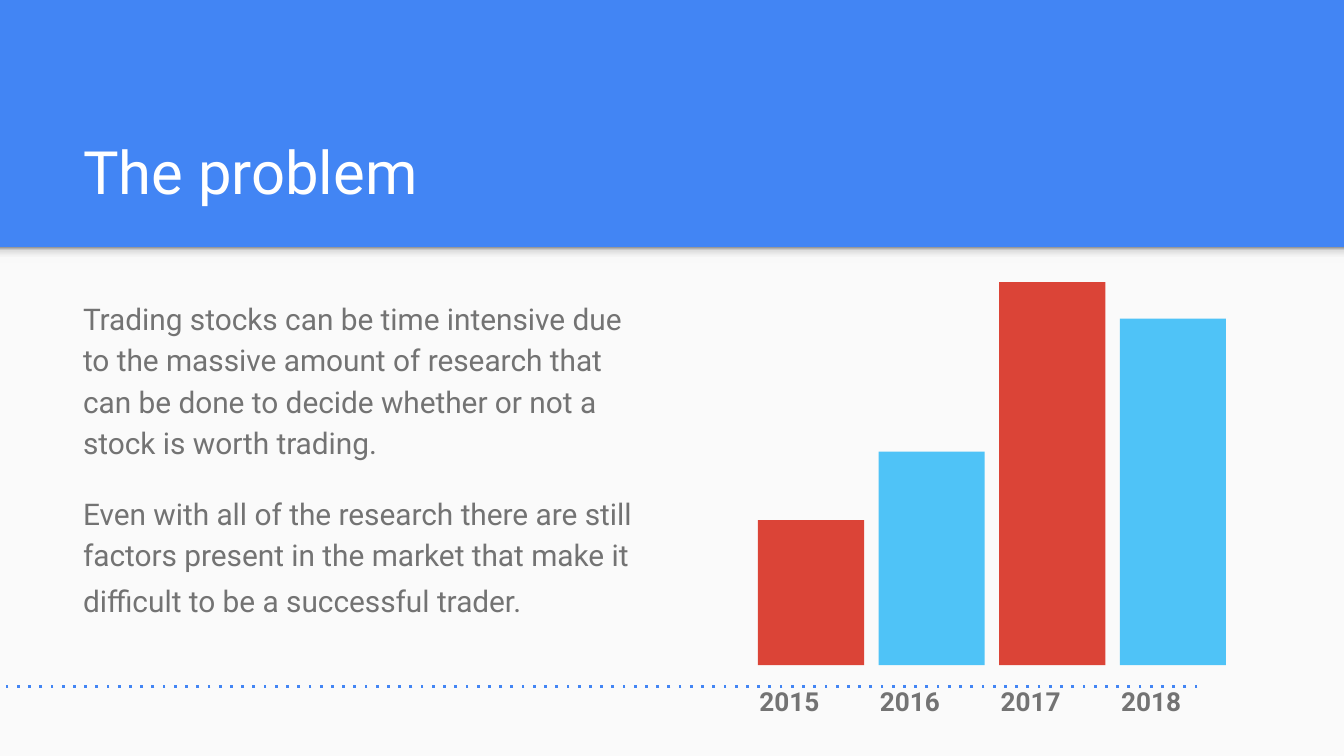
from dataclasses import dataclass
from itertools import cycle

from lxml import etree
from pptx import Presentation
from pptx.dml.color import RGBColor
from pptx.enum.dml import MSO_LINE
from pptx.enum.shapes import MSO_CONNECTOR, MSO_SHAPE
from pptx.enum.text import MSO_ANCHOR
from pptx.oxml.ns import qn
from pptx.util import Inches, Pt

RECT = MSO_SHAPE.RECTANGLE
STRAIGHT = MSO_CONNECTOR.STRAIGHT
DOTS = MSO_LINE.ROUND_DOT
TOP, BOTTOM = MSO_ANCHOR.TOP, MSO_ANCHOR.BOTTOM
PLAIN = "{2D5ABB26-0587-4C30-8999-92F81FD0307C}"  # table style without lines or fills
WIDE = 10
HIGH = WIDE * 9 / 16


@dataclass(frozen=True)
class Theme:
    font: str = "Roboto"
    blue: str = "4285F4"
    paper: str = "FAFAFA"
    white: str = "FFFFFF"
    gray: str = "737373"
    bars: tuple = ("DB4437", "4FC3F7")
    shade: tuple = ((0, "F9F9F9"), (36, "F9F9F9"), (80, "DEDEDE"), (100, "999999"))
    title: int = 32
    body: int = 16
    tail: int = 18
    label: int = 14
    lead: float = 1.15


THEME = Theme()

BODY = (
    (("Trading stocks can be time intensive due to the massive amount of research "
      "that can be done to decide whether or not a stock is worth trading.", THEME.body),),
    (("Even with all of the research there are still factors present in the market "
      "that make it difficult to be a successful trader.", THEME.body),
     (" ", THEME.tail)),
)
BARS = (("2015", 1.08), ("2016", 1.59), ("2017", 2.85), ("2018", 2.58))


def color(code):
    return RGBColor.from_string(code)


def emu(box):
    return [Inches(size) for size in box]


def add_run(para, text, size, code, bold=False):
    run = para.add_run()
    run.text = text
    font = run.font
    font.name, font.size, font.bold = THEME.font, Pt(size), bold
    font.color.rgb = color(code)


def add_rect(slide, box, code):
    rect = slide.shapes.add_shape(RECT, *emu(box))
    rect.shadow.inherit = False
    rect.line.fill.background()
    rect.fill.solid()
    rect.fill.fore_color.rgb = color(code)
    return rect


def add_frame(slide, box, anchor):
    frame = slide.shapes.add_textbox(*emu(box)).text_frame
    frame.word_wrap = True
    frame.vertical_anchor = anchor
    frame.margin_left = frame.margin_right = Inches(0.1)
    frame.margin_top = frame.margin_bottom = Inches(0.1)
    return frame


def add_panel(slide, box):
    """Light panel with a soft shade along its top edge."""
    left, top, width, height = box
    add_rect(slide, box, THEME.paper)
    edge = add_rect(slide, (left, top, width, 0.12), THEME.paper)
    edge.fill.gradient()
    edge.fill.gradient_angle = 90
    stops = next(edge.element.spPr.iter(qn("a:gsLst")))
    for stop in list(stops):
        stops.remove(stop)
    for share, code in THEME.shade:
        stop = etree.SubElement(stops, qn("a:gs"), pos=str(share * 1000))
        etree.SubElement(stop, qn("a:srgbClr"), val=code)


def add_title(slide, box, text):
    frame = add_frame(slide, box, BOTTOM)
    add_run(frame.paragraphs[0], text, THEME.title, THEME.white)


def add_body(slide, box, paras):
    frame = add_frame(slide, box, TOP)
    for num, runs in enumerate(paras):
        para = frame.add_paragraph() if num else frame.paragraphs[0]
        para.line_spacing = THEME.lead
        if num:
            para.space_before = Pt(THEME.body)
        for text, size in runs:
            add_run(para, text, size, THEME.gray)


def add_bars(slide, box, bars):
    """Bars scaled to the tallest, one per column, on the foot of the box."""
    left, top, width, height = box
    col = width / len(bars)
    peak = max(value for _, value in bars)
    for num, ((_, value), code) in enumerate(zip(bars, cycle(THEME.bars))):
        tall = height * value / peak
        add_rect(slide, (left + (num + 0.1) * col, top + height - tall,
                         0.88 * col, tall), code)


def add_years(slide, box, bars):
    shape = slide.shapes.add_table(1, len(bars), *emu(box))
    table = shape.table
    table.first_row = table.horz_banding = False
    next(shape.element.iter(qn("a:tableStyleId"))).text = PLAIN
    for cell, (year, _) in zip(table.rows[0].cells, bars):
        cell.fill.background()
        cell.margin_left = cell.margin_right = Inches(0.1)
        cell.margin_top = cell.margin_bottom = Inches(0.1)
        para = cell.text_frame.paragraphs[0]
        para.line_spacing = THEME.lead
        add_run(para, year, THEME.label, THEME.gray, True)


def add_axis(slide, start, end, level):
    axis = slide.shapes.add_connector(STRAIGHT, *emu((start, level, end, level)))
    axis.line.color.rgb = color(THEME.blue)
    axis.line.width = Pt(1.5)
    axis.line.dash_style = DOTS
    props = axis.element.spPr
    next(props.iter(qn("a:prstDash"))).set("val", "dot")  # wider gaps than sysDot
    etree.SubElement(props, qn("a:effectLst"))


def main():
    deck = Presentation()
    deck.slide_width, deck.slide_height = Inches(WIDE), Inches(HIGH)
    slide = deck.slides.add_slide(deck.slide_layouts[6])
    back = slide.background.fill
    back.solid()
    back.fore_color.rgb = color(THEME.blue)

    split = 1.84
    edge = 0.52
    plot = (5.55, 2.1, 3.59, 2.85)
    add_panel(slide, (0, split, WIDE, HIGH - split))
    add_title(slide, (edge, 0.8, 8.99, 0.84), "The problem")
    add_body(slide, (edge, 2.1, 4.37, 2.96), BODY)
    add_years(slide, (plot[0], 4.98, plot[2], 0.26), BARS)
    add_bars(slide, plot, BARS)
    add_axis(slide, 8.91, 0, 5.11)
    deck.save("out.pptx")


if __name__ == "__main__":
    main()
